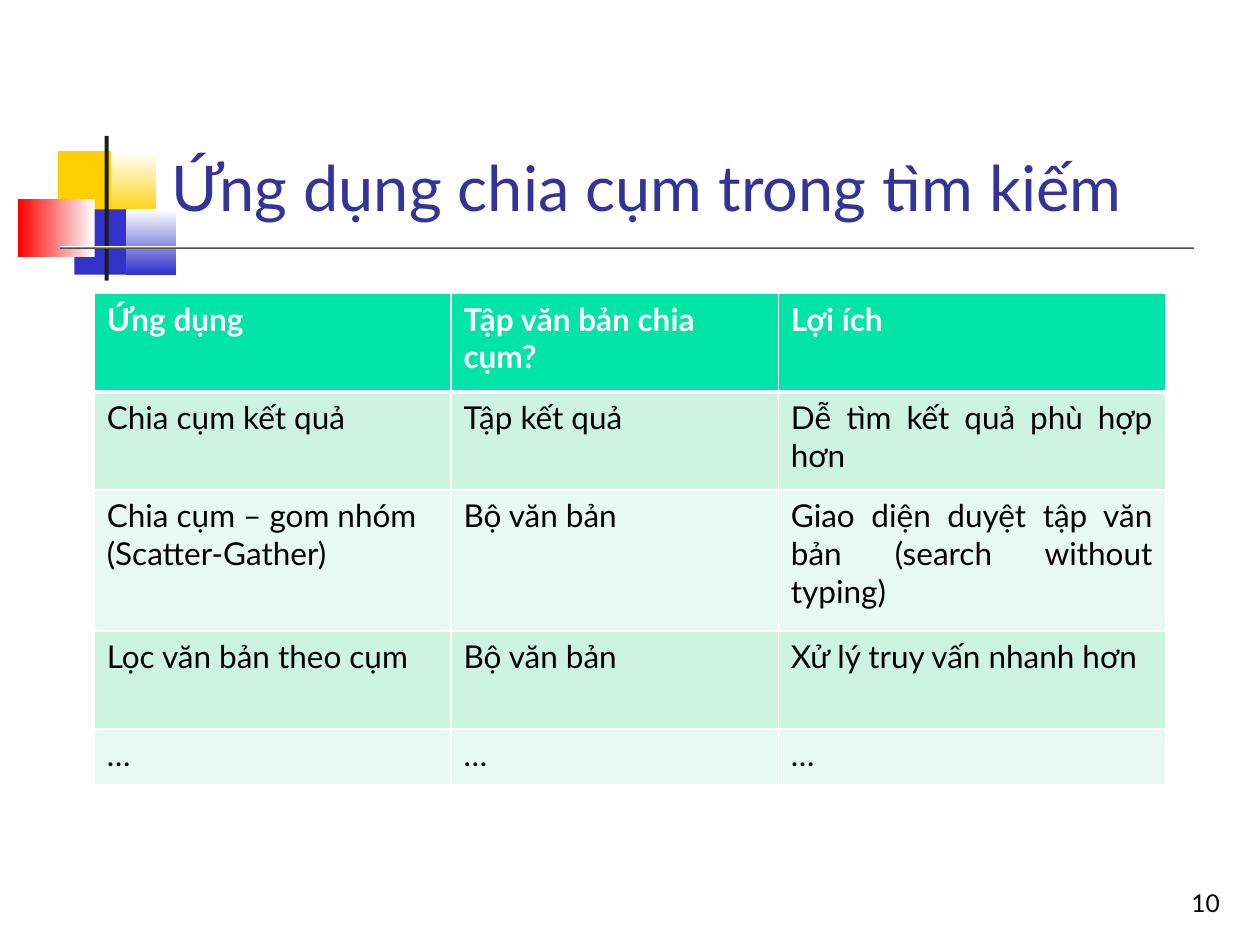
from lxml import etree
from pptx import Presentation
from pptx.dml.color import RGBColor
from pptx.enum.shapes import MSO_SHAPE
from pptx.enum.text import MSO_ANCHOR, PP_ALIGN
from pptx.oxml.ns import qn
from pptx.util import Cm, Pt

RECT = MSO_SHAPE.RECTANGLE
BOTTOM = MSO_ANCHOR.BOTTOM
LEFT, RIGHT, JUSTIFY = PP_ALIGN.LEFT, PP_ALIGN.RIGHT, PP_ALIGN.JUSTIFY

FONT = "Lato"
TITLE = "Ứng dụng chia cụm trong tìm kiếm"
PAGE = "10"
ROWS = [
    ("Ứng dụng", "Tập văn bản chia cụm?", "Lợi ích"),
    ("Chia cụm kết quả", "Tập kết quả", "Dễ tìm kết quả phù hợp hơn"),
    ("Chia cụm – gom nhóm (Scatter-Gather)", "Bộ văn bản",
     "Giao diện duyệt tập văn bản (search without typing)"),
    ("Lọc văn bản theo cụm", "Bộ văn bản", "Xử lý truy vấn nhanh hơn"),
    ("…", "…", "…"),
]
JUSTIFIED = {(1, 2), (2, 2)}
COL_WIDTHS = [7.19, 6.6, 7.8]
ROW_HEIGHTS = [1.98, 1.98, 2.84, 1.98, 1.12]
HEADER_FILL = "00E4A8"
BAND_FILLS = ["E7F9F0", "CCF4E1"]

# left, top, width, height in cm; one colour, or two and a gradient angle
ORNAMENTS = [
    ((1.17, 3.05, 1.22, 1.32), ["FFCF01"], None),
    ((2.24, 3.05, 0.91, 1.32), ["FFCF01", "FFFFFF"], 90),
    ((1.5, 4.22, 1.17, 1.32), ["3333CC"], None),
    ((2.54, 4.22, 1.02, 1.32), ["3333CC", "FFFFFF"], 90),
    ((0.36, 4.01, 1.55, 1.17), ["FFFFFF", "FF0000"], 180),
    ((2.11, 2.74, 0.08, 2.92), ["1C1C1C"], None),
    ((1.22, 4.95, 22.86, 0.08), ["1C1C1C", "FFFFFF"], 90),
]


def rgb(color):
    return RGBColor.from_string(color)


def fill_solid(fill, color):
    fill.solid()
    fill.fore_color.rgb = rgb(color)


def format_text(tf, size, color, align=LEFT, bold=False):
    p = tf.paragraphs[0]
    p.alignment = align
    font = p.runs[0].font
    font.name, font.size, font.bold = FONT, Pt(size), bold
    font.color.rgb = rgb(color)


def add_ornament(s, box, colors, angle):
    sp = s.shapes.add_shape(RECT, *map(Cm, box))
    sp.shadow.inherit = False
    sp.line.fill.background()
    if angle is None:
        fill_solid(sp.fill, colors[0])
        return
    sp.fill.gradient()
    sp.fill.gradient_angle = angle
    for stop, color in zip(sp.fill.gradient_stops, colors):
        stop.color.rgb = rgb(color)


def add_text(s, box, text, size, color, align=LEFT):
    tf = s.shapes.add_textbox(*map(Cm, box)).text_frame
    tf.word_wrap = True
    tf.vertical_anchor = BOTTOM
    tf.text = text
    format_text(tf, size, color, align)


def set_borders(cell, widths):
    """Draw white borders; widths maps each of L, R, T, B to points."""
    tc_pr = cell._tc.get_or_add_tcPr()
    for i, (side, width) in enumerate(widths.items()):
        ln = etree.Element(qn(f"a:ln{side}"), w=str(Pt(width)))
        solid = etree.SubElement(ln, qn("a:solidFill"))
        etree.SubElement(solid, qn("a:srgbClr"), val="FFFFFF")
        tc_pr.insert(i, ln)


def add_grid(s, left, top):
    table = s.shapes.add_table(
        len(ROWS), len(COL_WIDTHS), Cm(left), Cm(top),
        Cm(sum(COL_WIDTHS)), Cm(sum(ROW_HEIGHTS))).table
    for col, width in zip(table.columns, COL_WIDTHS):
        col.width = Cm(width)
    for r, (texts, height) in enumerate(zip(ROWS, ROW_HEIGHTS)):
        table.rows[r].height = Cm(height)
        header = r == 0
        for c, text in enumerate(texts):
            cell = table.cell(r, c)
            cell.text = text
            format_text(cell.text_frame, 18, "FFFFFF" if header else "000000",
                        JUSTIFY if (r, c) in JUSTIFIED else LEFT, header)
            fill_solid(cell.fill, HEADER_FILL if header else BAND_FILLS[r % 2])
            set_borders(cell, {"L": 0.96, "R": 0.96,
                               "T": 3 if r == 1 else 0.96,
                               "B": 3 if header else 0.96})


def main():
    prs = Presentation()
    prs.slide_width, prs.slide_height = Cm(25.4), Cm(19.05)
    s = prs.slides.add_slide(prs.slide_layouts[6])
    for ornament in ORNAMENTS:
        add_ornament(s, *ornament)
    add_text(s, (3.2, 0.58, 21.64, 4.06), TITLE, 36, "333399")
    add_text(s, (19.56, 17.35, 5.28, 1.27), PAGE, 14, "000000", RIGHT)
    add_grid(s, 1.9, 5.92)
    prs.save("out.pptx")


if __name__ == "__main__":
    main()
